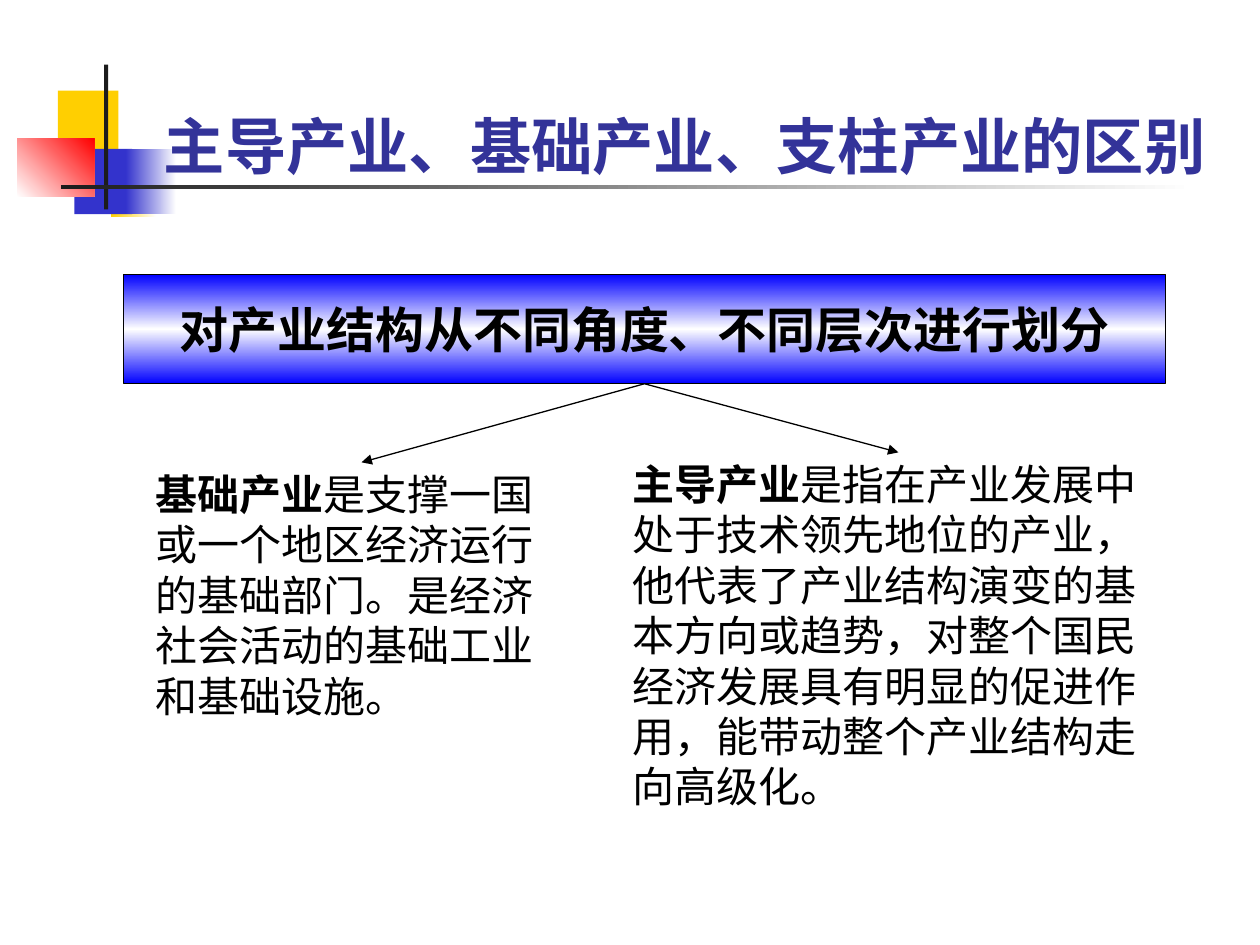
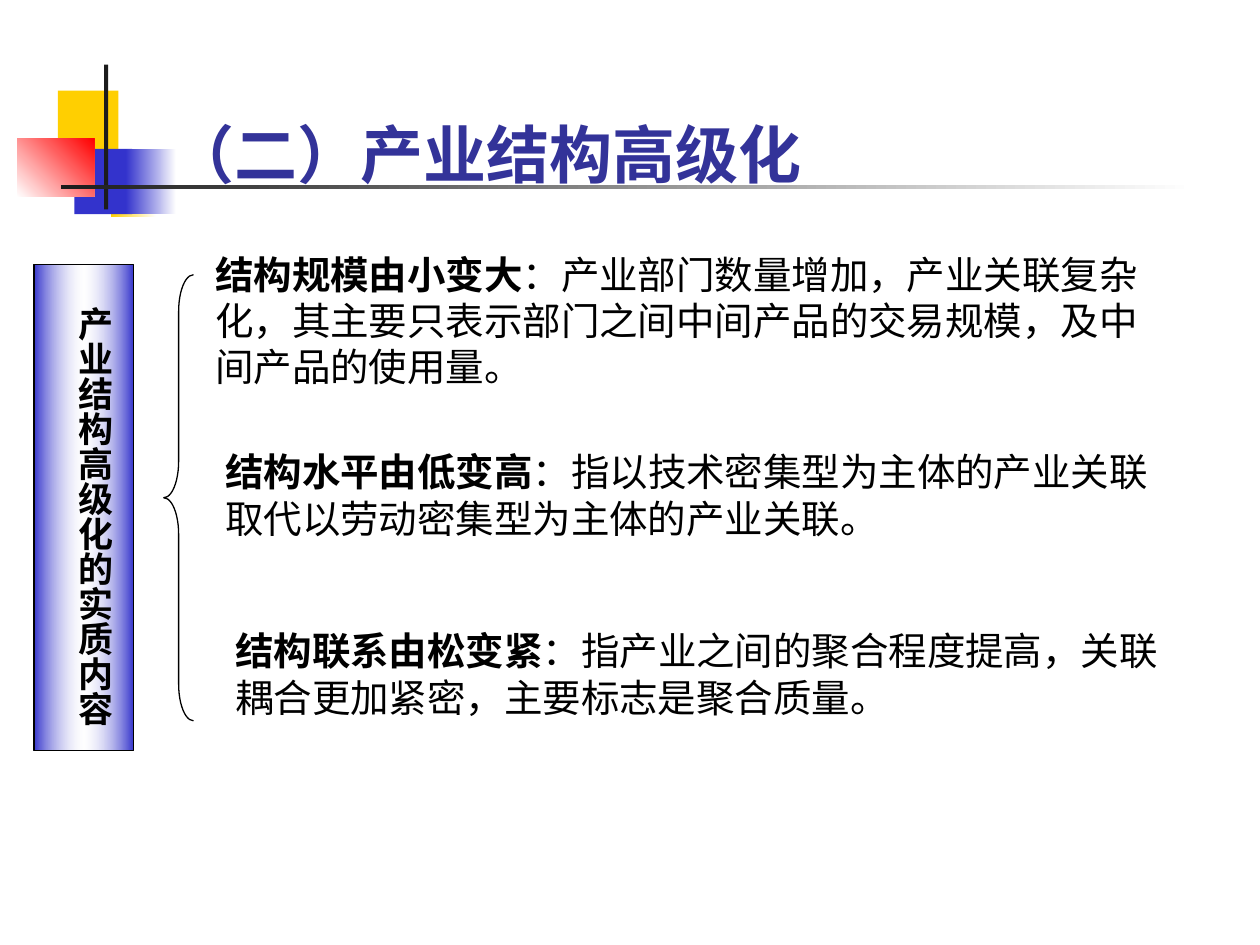
from lxml.etree import SubElement
from pptx import Presentation
from pptx.dml.color import RGBColor
from pptx.enum.shapes import MSO_CONNECTOR, MSO_SHAPE
from pptx.enum.text import MSO_ANCHOR, MSO_AUTO_SIZE, PP_ALIGN
from pptx.oxml.ns import qn
from pptx.util import Pt

BLACK = RGBColor(0x00, 0x00, 0x00)
WHITE = RGBColor(0xFF, 0xFF, 0xFF)
YELLOW = RGBColor(0xFF, 0xCF, 0x01)
RED = RGBColor(0xFF, 0x00, 0x00)
INDIGO = RGBColor(0x33, 0x33, 0xCC)
BLUE = RGBColor(0x00, 0x00, 0xFF)
CHARCOAL = RGBColor(0x1C, 0x1C, 0x1C)
TITLE_COLOR = RGBColor(0x33, 0x33, 0x99)

FONT = "Cabin"
DETAIL_FONT = "Noto Sans CJK SC"
LINE_WIDTH = Pt(0.75)
LINE_FACTOR = 1.2
TITLE_ONLY = 5

# left, top, width, height, gradient angle, colours
ORNAMENT = [
    (33.1, 51.8, 34.6, 37.4, 0, [YELLOW]),
    (63.4, 86.4, 25.9, 37.4, 0, [YELLOW, WHITE]),
    (42.5, 85, 33.1, 37.4, 0, [INDIGO]),
    (72, 85, 28.8, 37.4, 0, [INDIGO, WHITE]),
    (9.8, 79.2, 44, 33.1, 315, [WHITE, RED]),
    (59.5, 36.9, 2.3, 82.8, 0, [CHARCOAL]),
    (34.6, 105.8, 648, 2.3, 0, [CHARCOAL, WHITE]),
]


def points(*lengths):
    return [Pt(length) for length in lengths]


class Deck:
    def __init__(self):
        self.presentation = Presentation()
        self.presentation.slide_width = Pt(720)
        self.presentation.slide_height = Pt(540)
        self.slide = None

    def add_slide(self, title, left, top, size):
        layout = self.presentation.slide_layouts[TITLE_ONLY]
        self.slide = self.presentation.slides.add_slide(layout)
        for *box, angle, colors in ORNAMENT:
            self.rectangle(box, colors, angle)
        shape = self.slide.shapes.title
        shape.left, shape.top, shape.width, shape.height = points(left, top, 613.4, 115.2)
        shape.element.getparent().append(shape.element)  # in front of the ornament
        frame = shape.text_frame
        frame.text = title
        frame.auto_size = MSO_AUTO_SIZE.NONE
        frame.vertical_anchor = MSO_ANCHOR.BOTTOM
        frame.paragraphs[0].alignment = PP_ALIGN.LEFT
        self.style(frame.paragraphs[0].runs[0], size, color=TITLE_COLOR)

    def style(self, run, size, bold=True, color=BLACK, name=FONT):
        run.font.size = Pt(size)
        run.font.bold = bold
        run.font.color.rgb = color
        run.font.name = name
        SubElement(run.font._element, qn("a:ea"), typeface=FONT)

    def rectangle(self, box, colors, angle=0, outlined=False, middle_alpha=None):
        """Add a rectangle with one colour or an evenly spaced gradient."""
        shape = self.slide.shapes.add_shape(MSO_SHAPE.RECTANGLE, *points(*box))
        shape.shadow.inherit = False
        if len(colors) == 1:
            shape.fill.solid()
            shape.fill.fore_color.rgb = colors[0]
        else:
            self.gradient(shape, colors, angle, middle_alpha)
        if outlined:
            self.outline(shape)
        else:
            shape.line.fill.background()
        return shape

    def gradient(self, shape, colors, angle, middle_alpha):
        shape.fill.gradient()
        gradient = shape.element.spPr.find(qn("a:gradFill"))
        gradient.find(qn("a:lin")).set("ang", str(angle * 60000))
        stops = gradient.find(qn("a:gsLst"))
        stops.clear()
        last = len(colors) - 1
        for index, color in enumerate(colors):
            stop = SubElement(stops, qn("a:gs"), pos=str(100000 * index // last))
            element = SubElement(stop, qn("a:srgbClr"), val=str(color))
            if middle_alpha and 0 < index < last:
                SubElement(element, qn("a:alpha"), val=str(middle_alpha * 1000))

    def outline(self, shape):
        shape.line.color.rgb = BLACK
        shape.line.width = LINE_WIDTH

    def banner(self, box, text):
        shape = self.rectangle(box, [BLUE, WHITE, BLUE], 90, outlined=True)
        frame = shape.text_frame
        frame.text = text
        frame.word_wrap = False
        frame.vertical_anchor = MSO_ANCHOR.MIDDLE
        frame.paragraphs[0].alignment = PP_ALIGN.CENTER
        self.style(frame.paragraphs[0].runs[0], 28)
        return shape

    def definition(self, box, term, explanation, size, name=FONT):
        """Add a text box with a bold term and its explanation."""
        frame = self.slide.shapes.add_textbox(*points(*box)).text_frame
        frame.word_wrap = True
        frame.auto_size = MSO_AUTO_SIZE.SHAPE_TO_FIT_TEXT
        paragraph = frame.paragraphs[0]
        paragraph.line_spacing = Pt(size * LINE_FACTOR)
        for text, bold in ((term, True), (explanation, False)):
            run = paragraph.add_run()
            run.text = text
            self.style(run, size, bold, name=name)

    def vertical_label(self, box, text):
        frame = self.slide.shapes.add_textbox(*points(*box)).text_frame
        frame.text = text
        frame.word_wrap = True
        frame.margin_left = frame.margin_right = Pt(3.6)
        frame.margin_top = frame.margin_bottom = Pt(7.2)
        frame._txBody.bodyPr.set("vert", "eaVert")
        frame.paragraphs[0].alignment = PP_ALIGN.CENTER
        self.style(frame.paragraphs[0].runs[0], 20)

    def arrow_from_bottom(self, source, end_x, end_y):
        connector = self.slide.shapes.add_connector(
            MSO_CONNECTOR.STRAIGHT, 0, 0, Pt(end_x), Pt(end_y))
        connector.begin_connect(source, 2)
        self.outline(connector)
        properties = connector.element.spPr
        SubElement(properties.find(qn("a:ln")), qn("a:tailEnd"), type="triangle")
        SubElement(properties, qn("a:effectLst"))

    def brace(self, box):
        shape = self.slide.shapes.add_shape(MSO_SHAPE.LEFT_BRACE, *points(*box))
        shape.shadow.inherit = False
        shape.adjustments[0] = 1.23
        shape.fill.background()
        self.outline(shape)


def build_distinction(deck):
    deck.add_slide("主导产业、基础产业、支柱产业的区别", 86.4, -7.9, 35)
    deck.definition(
        (82, 264.2, 249.8, 151.2), "基础产业",
        "是支撑一国或一个地区经济运行的基础部门。是经济社会活动的基础工业和基础设施。", 24)
    deck.definition(
        (354.2, 258.5, 317.5, 208.8), "主导产业",
        "是指在产业发展中处于技术领先地位的产业，他代表了产业结构演变的基本方向或趋势，"
        "对整个国民经济发展具有明显的促进作用，能带动整个产业结构走向高级化。", 24)
    banner = deck.banner((70.6, 156.8, 595.4, 62.5), "对产业结构从不同角度、不同层次进行划分")
    deck.arrow_from_bottom(banner, 513.4, 258.5)
    deck.arrow_from_bottom(banner, 206.6, 264.2)


def build_upgrading(deck):
    deck.add_slide("（二）产业结构高级化", 90.7, -2.2, 36)
    deck.rectangle((19.4, 151.2, 56.9, 277.9), [INDIGO, WHITE, INDIGO],
                   outlined=True, middle_alpha=16)
    deck.vertical_label((31.7, 167.8, 38.2, 277.9), "产业结构高级化的实质内容")
    changes = [
        (139.7, 86.4, "结构规模由小变大",
         "：产业部门数量增加，产业关联复杂化，其主要只表示部门之间中间产品的交易规模，及中间产品的使用量。"),
        (252.7, 60.5, "结构水平由低变高",
         "：指以技术密集型为主体的产业关联取代以劳动密集型为主体的产业关联。"),
        (355, 60.5, "结构联系由松变紧",
         "：指产业之间的聚合程度提高，关联耦合更加紧密，主要标志是聚合质量。"),
    ]
    for index, (top, height, term, explanation) in enumerate(changes):
        box = (115.9 + 5.75 * index, top, 544.3, height)
        deck.definition(box, term, explanation, 22, DETAIL_FONT)
    deck.brace((93.6, 157, 17, 254.9))


def main():
    deck = Deck()
    build_distinction(deck)
    build_upgrading(deck)
    deck.presentation.save("out.pptx")


if __name__ == "__main__":
    main()
